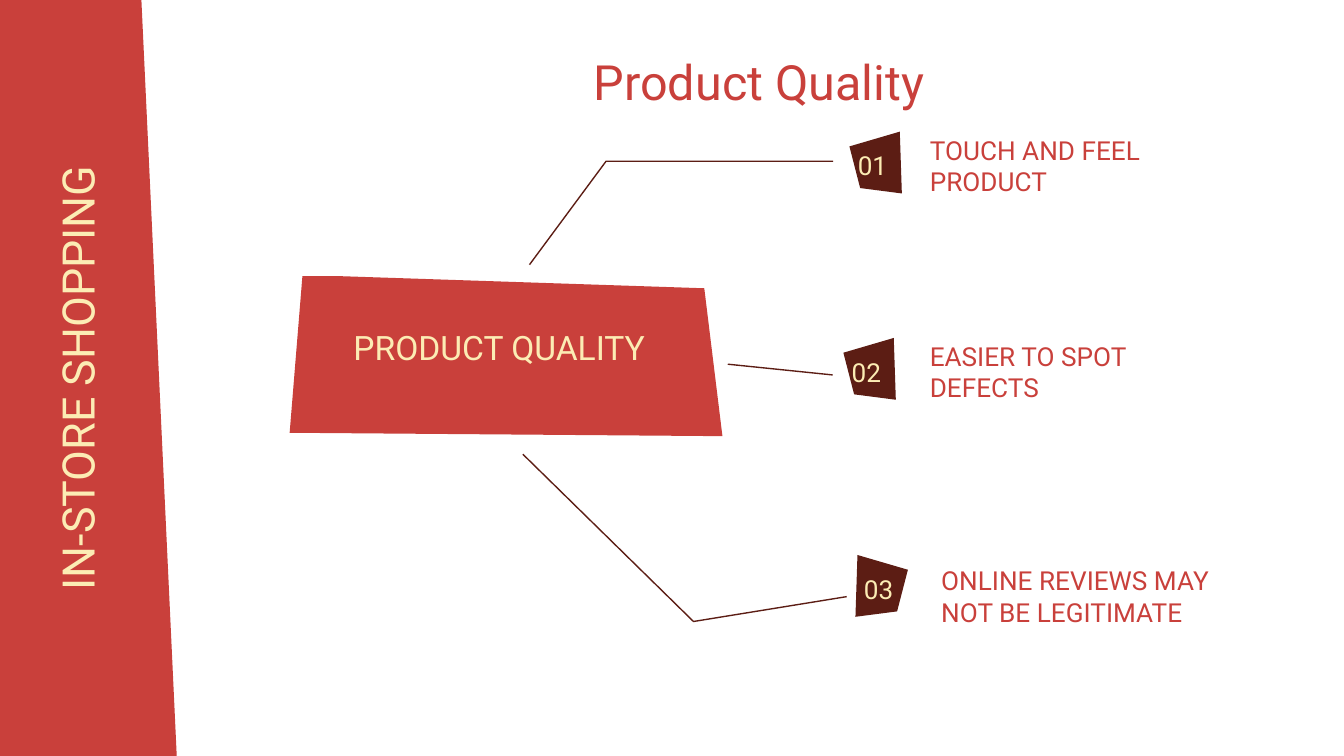
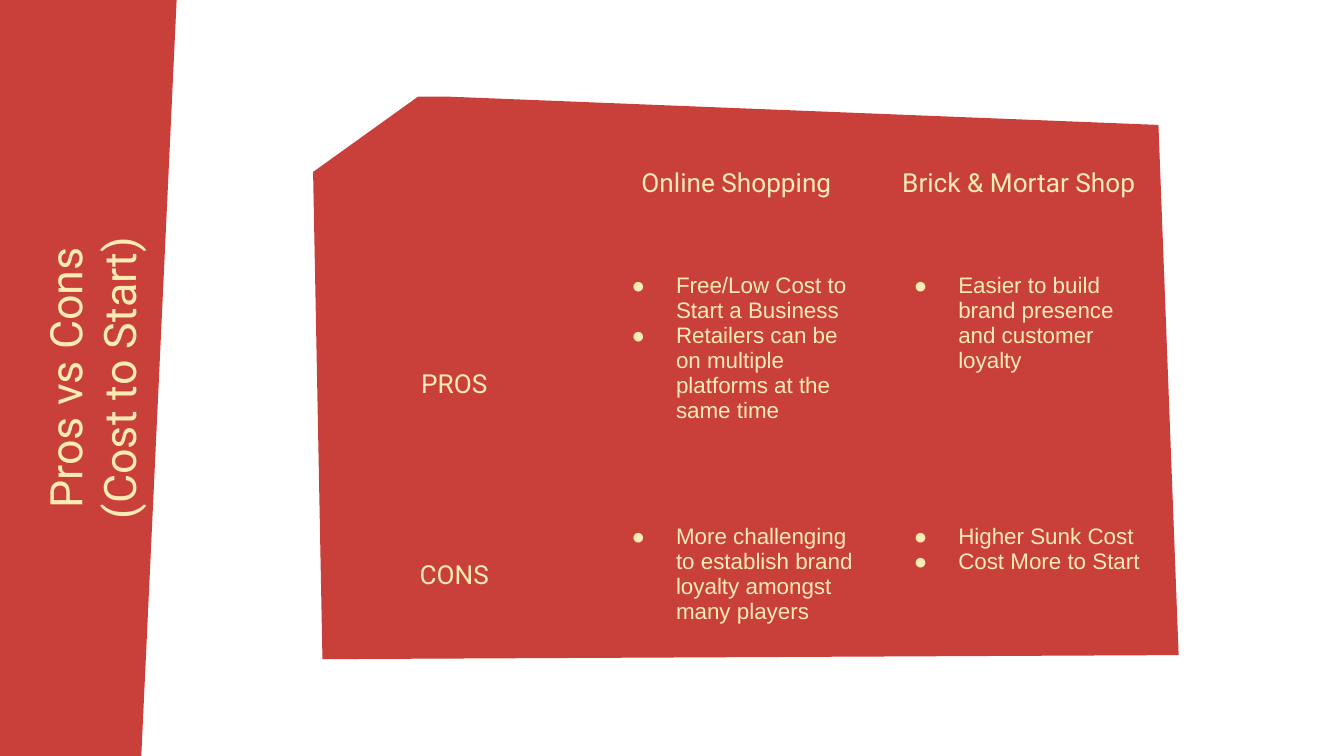
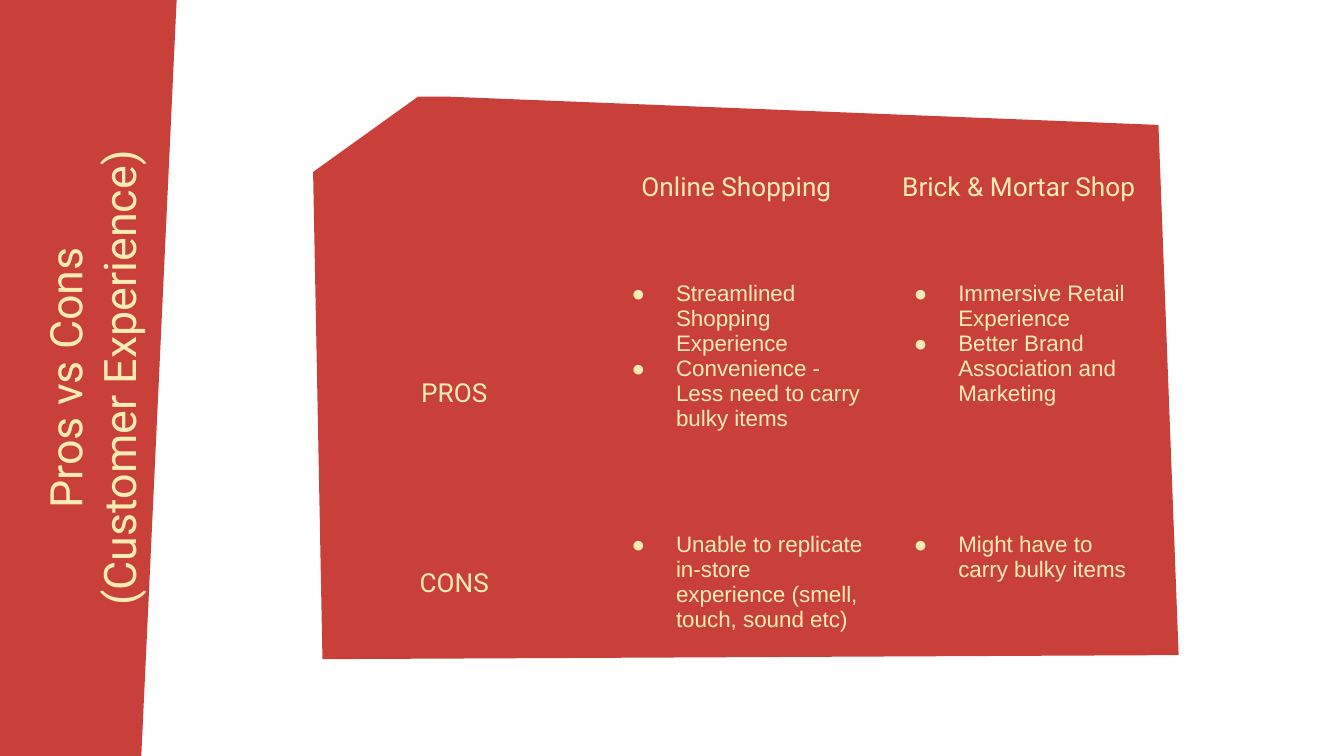
"""Build three slides that compare in-store and online shopping."""
from lxml.etree import SubElement
from pptx import Presentation
from pptx.dml.color import RGBColor
from pptx.enum.shapes import MSO_CONNECTOR, MSO_SHAPE
from pptx.enum.text import MSO_ANCHOR as Anchor, PP_ALIGN as Align
from pptx.oxml import parse_xml
from pptx.oxml.ns import nsdecls, qn
from pptx.util import Pt

PX = 4572
SLIDE_WIDTH, SLIDE_HEIGHT = 2000, 1125
INSET = 20
BAND_WIDTH = 263
COLORS = {"red": "C9403B", "cream": "FCECB4", "maroon": "5C1D14"}
HEADING_FONT, BODY_FONT = "Roboto", "Arial"

BADGE = [(0, 22), (75, 0), (78, 92), (16, 84)]
QUALITY_PANEL = [(450, 411), (508, 411), (1048, 429), (1075, 649), (431, 644)]
TABLE_PANEL = [(622, 144), (670, 144), (1724, 186), (1754, 975), (480, 981), (466, 256)]
REASONS = [
    ("01", "TOUCH AND FEEL PRODUCT", (1264, 196), (1364, 183), False),
    ("02", "EASIER TO SPOT DEFECTS", (1255, 503), (1364, 490), False),
    ("03", "ONLINE REVIEWS MAY NOT BE LEGITIMATE", (1273, 826), (1381, 824), True),
]
COMPARISONS = [
    ("Pros vs Cons\n(Cost to Start)", 226, [
        ("PROS",
         "Free/Low Cost to Start a Business\n"
         "Retailers can be on multiple platforms at the same time",
         "Easier to build brand presence and customer loyalty"),
        ("CONS",
         "More challenging to establish brand loyalty amongst many players",
         "Higher Sunk Cost\nCost More to Start"),
    ]),
    ("Pros vs Cons\n(Customer Experience)", 238, [
        ("PROS",
         "Streamlined Shopping Experience\n"
         "Convenience - Less need to carry bulky items",
         "Immersive Retail Experience\nBetter Brand Association and Marketing"),
        ("CONS",
         "Unable to replicate in-store experience (smell, touch, sound etc)",
         "Might have to carry bulky items"),
    ]),
]


def color(name):
    return RGBColor.from_string(COLORS[name])


def add_bullet(paragraph):
    properties = paragraph._p.get_or_add_pPr()
    properties.set("marL", str(100 * PX))
    properties.set("indent", str(-66 * PX))
    bullet_color = SubElement(properties, qn("a:buClr"))
    SubElement(bullet_color, qn("a:srgbClr"), val=COLORS["cream"])
    SubElement(properties, qn("a:buFont"), typeface=BODY_FONT)
    SubElement(properties, qn("a:buChar"), char="●")


def write_text(frame, text, size=14, font=HEADING_FONT, fill="cream",
               align=Align.CENTER, bullets=False):
    for index, line in enumerate(text.split("\n")):
        paragraph = frame.add_paragraph() if index else frame.paragraphs[0]
        paragraph.alignment = align
        if bullets:
            add_bullet(paragraph)
        run = paragraph.add_run()
        run.text = line
        run.font.size = Pt(size)
        run.font.name = font
        run.font.bold = False
        run.font.color.rgb = color(fill)


class Deck:
    """Hold the shared style and the current slide."""

    def __init__(self):
        self.presentation = Presentation()
        self.presentation.slide_width = SLIDE_WIDTH * PX
        self.presentation.slide_height = SLIDE_HEIGHT * PX
        self.slide = None

    def new_slide(self):
        layout = self.presentation.slide_layouts.get_by_name("Title Only")
        self.slide = self.presentation.slides.add_slide(layout)

    def place(self, shape, left, top, width, height):
        shape.left, shape.top = left * PX, top * PX
        shape.width, shape.height = width * PX, height * PX

    def set_frame(self, frame, anchor):
        frame.word_wrap = True
        frame.vertical_anchor = anchor
        frame.margin_left = frame.margin_right = INSET * PX
        frame.margin_top = frame.margin_bottom = INSET * PX

    def paint(self, shape, fill):
        shape.shadow.inherit = False
        shape.fill.solid()
        shape.fill.fore_color.rgb = color(fill)
        shape.line.fill.background()

    def band(self, flipped=False):
        offset = (SLIDE_HEIGHT - BAND_WIDTH) // 2
        shape = self.slide.shapes.add_shape(
            MSO_SHAPE.FLOWCHART_MANUAL_INPUT, -offset * PX, offset * PX,
            SLIDE_HEIGHT * PX, BAND_WIDTH * PX)
        shape.rotation = 90
        if flipped:
            shape._element.spPr.xfrm.set("flipH", "1")
        self.paint(shape, "red")

    def title(self, text, left):
        shape = self.slide.shapes.title
        self.slide.shapes._spTree.append(shape._element)
        self.place(shape, left, 496, SLIDE_HEIGHT, 133)
        shape.rotation = 270
        self.set_frame(shape.text_frame, Anchor.TOP)
        write_text(shape.text_frame, text, size=24)

    def text(self, text, left, top, width, height, anchor=Anchor.MIDDLE, **style):
        shape = self.slide.shapes.add_textbox(0, 0, 0, 0)
        self.place(shape, left, top, width, height)
        self.set_frame(shape.text_frame, anchor)
        write_text(shape.text_frame, text, **style)

    def outline(self, points, close):
        builder = self.slide.shapes.build_freeform(*points[0], scale=PX)
        builder.add_line_segments(points[1:], close=close)
        return builder.convert_to_shape()

    def polygon(self, points, fill):
        self.paint(self.outline(points, True), fill)

    def style_line(self, shape):
        shape.line.color.rgb = color("maroon")
        shape.line.width = Pt(0.75)

    def leader(self, points):
        shape = self.outline(points, False)
        shape.shadow.inherit = False
        shape.fill.background()
        self.style_line(shape)

    def straight_leader(self, start, end):
        ends = [value * PX for value in start + end]
        connector = self.slide.shapes.add_connector(MSO_CONNECTOR.STRAIGHT, *ends)
        SubElement(connector._element.spPr, qn("a:effectLst"))
        self.style_line(connector)

    def badge(self, number, left, top, mirrored):
        points = [(left + (78 - x if mirrored else x), top + y) for x, y in BADGE]
        self.polygon(points, "maroon")
        self.text(number, left - 50, top + 28, 126, 44, align=Align.RIGHT)

    def clear_cell(self, cell):
        cell.fill.background()
        properties = cell._tc.get_or_add_tcPr()
        for index, side in enumerate(("lnL", "lnR", "lnT", "lnB")):
            properties.insert(index, parse_xml(
                f'<a:{side} {nsdecls("a")}><a:noFill/></a:{side}>'))

    def table(self, rows, left, top, column_width, row_heights):
        column_count = len(rows[0])
        table = self.slide.shapes.add_table(
            len(rows), column_count, left * PX, top * PX,
            column_width * column_count * PX, sum(row_heights) * PX).table
        table.first_row = table.horz_banding = False
        for column in table.columns:
            column.width = column_width * PX
        for row_index, row in enumerate(rows):
            table.rows[row_index].height = row_heights[row_index] * PX
            for column_index, text in enumerate(row):
                cell = table.cell(row_index, column_index)
                self.clear_cell(cell)
                cell.margin_left = cell.margin_right = INSET * PX
                cell.margin_top = cell.margin_bottom = INSET * PX
                if not text:
                    continue
                if row_index and column_index:
                    cell.vertical_anchor = Anchor.TOP
                    write_text(cell.text_frame, text, size=12, font=BODY_FONT,
                               align=Align.LEFT, bullets=True)
                else:
                    cell.vertical_anchor = Anchor.MIDDLE
                    write_text(cell.text_frame, text)


def build_quality_slide(deck):
    deck.new_slide()
    deck.polygon(QUALITY_PANEL, "red")
    deck.text("PRODUCT QUALITY", 502, 493, 482, 74, anchor=Anchor.BOTTOM, size=18)
    deck.band()
    deck.title("IN-STORE SHOPPING", -442)
    for number, reason, badge_at, text_at, mirrored in REASONS:
        deck.badge(number, *badge_at, mirrored)
        deck.text(reason, *text_at, 500, 126, fill="red", align=Align.LEFT)
    deck.leader([(788, 394), (902, 240), (1240, 240)])
    deck.straight_leader((1083, 542), (1239, 558))
    deck.leader([(778, 676), (1032, 925), (1260, 888)])
    deck.text("Product Quality", 730, 58, 800, 126, size=26, fill="red")


def build_comparison_slide(deck, title, header_height, rows):
    deck.new_slide()
    deck.polygon(TABLE_PANEL, "red")
    deck.band(flipped=True)
    deck.title(title, -460)
    header = ("", "Online Shopping", "Brick & Mortar Shop")
    deck.table([header] + rows, 466, 160, 420, [header_height, 374, 194])


def main():
    deck = Deck()
    build_quality_slide(deck)
    for comparison in COMPARISONS:
        build_comparison_slide(deck, *comparison)
    deck.presentation.save("out.pptx")


if __name__ == "__main__":
    main()
